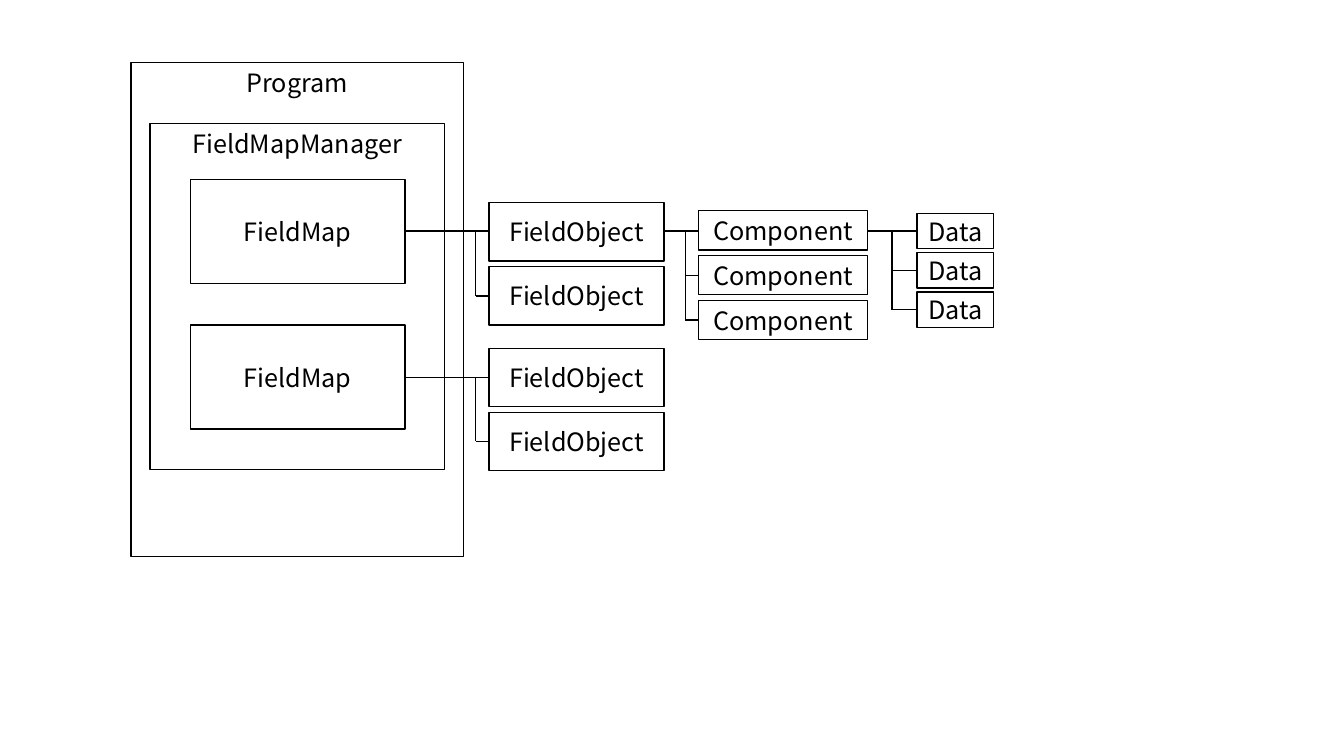
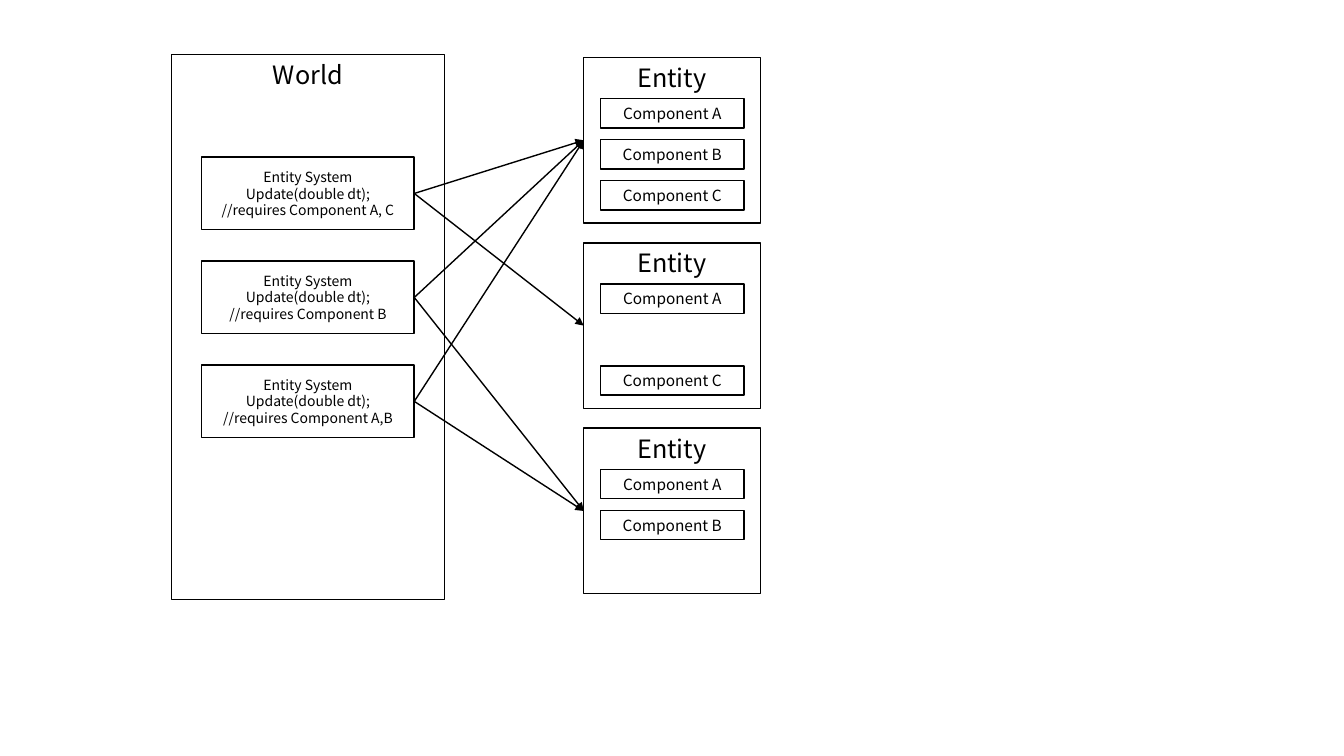
"""Draw two box diagrams of a field map and an entity system."""
from dataclasses import dataclass, replace

from lxml import etree
from pptx import Presentation
from pptx import util as u
from pptx.dml import color
from pptx.enum import shapes, text
from pptx.oxml import ns
from pptx.slide import Slide

FONT = "Noto Sans CJK KR"
INK = "000000"
PAPER = "FFFFFF"


@dataclass(frozen=True)
class Box:
    left: float
    top: float
    width: float
    height: float
    words: str
    size: int = 18
    head: bool = False

    @property
    def right(self) -> float:
        return self.left + self.width

    @property
    def mid(self) -> float:
        return self.top + self.height / 2

    def down(self, gap: float, words: str = "") -> "Box":
        return replace(self, top=self.top + gap, words=words or self.words)


@dataclass(frozen=True)
class Branch:
    start: float
    bend: float
    level: float
    first: Box
    step: float
    count: int


def paint(code: str) -> color.RGBColor:
    return color.RGBColor.from_string(code)


def draw_box(slide: Slide, box: Box) -> None:
    shape = slide.shapes.add_shape(
        shapes.MSO_SHAPE.RECTANGLE,
        u.Cm(box.left), u.Cm(box.top), u.Cm(box.width), u.Cm(box.height))
    shape.shadow.inherit = False
    shape.fill.solid()
    shape.fill.fore_color.rgb = paint(PAPER)
    shape.line.color.rgb = paint(INK)
    shape.line.width = u.Pt(1)
    frame = shape.text_frame
    frame.word_wrap = True
    frame.margin_left = frame.margin_right = u.Cm(0)
    anchor = text.MSO_ANCHOR
    frame.vertical_anchor = anchor.TOP if box.head else anchor.MIDDLE
    for index, words in enumerate(box.words.split("\n")):
        para = frame.add_paragraph() if index else frame.paragraphs[0]
        para.alignment = text.PP_ALIGN.CENTER
        run = para.add_run()
        run.text = words
        run.font.name = FONT
        run.font.size = u.Pt(box.size)
        run.font.color.rgb = paint(INK)


def draw_line(slide: Slide, x1: float, y1: float, x2: float, y2: float,
              arrow: bool = False) -> None:
    line = slide.shapes.add_connector(
        shapes.MSO_CONNECTOR.STRAIGHT, u.Cm(x1), u.Cm(y1), u.Cm(x2), u.Cm(y2))
    line.line.color.rgb = paint(INK)
    line.line.width = u.Pt(1)
    if arrow:
        stroke = line.line._get_or_add_ln()
        etree.SubElement(stroke, ns.qn("a:tailEnd"), type="triangle")
    etree.SubElement(line._element.spPr, ns.qn("a:effectLst"))


def draw_branch(slide: Slide, branch: Branch) -> None:
    first = branch.first
    draw_box(slide, first)
    draw_line(slide, branch.start, branch.level, first.left, branch.level)
    for index in range(1, branch.count):
        box = first.down(index * branch.step)
        draw_box(slide, box)
        draw_line(slide, branch.bend, box.mid, box.left, box.mid)
    last = first.mid + (branch.count - 1) * branch.step
    draw_line(slide, branch.bend, branch.level, branch.bend, last)


def draw_fields(slide: Slide) -> None:
    draw_box(slide, Box(3.3, 1.57, 8.38, 12.45, "Program", head=True))
    draw_box(slide, Box(3.78, 3.12, 7.42, 8.71, "FieldMapManager", head=True))
    field = Box(4.8, 4.52, 5.41, 2.62, "FieldMap")
    thing = Box(12.32, 5.11, 4.42, 1.47, "FieldObject")
    part = Box(17.6, 5.31, 4.27, 0.99, "Component")
    data = Box(23.11, 5.38, 1.93, 0.89, "Data")
    level = 5.82
    for index in range(2):
        gap = index * 3.67
        draw_box(slide, field.down(gap))
        draw_branch(slide, Branch(field.right, 11.99, level + index * 3.7,
                                  thing.down(gap), 1.61, 2))
    draw_branch(slide, Branch(thing.right, 17.27, level, part, 1.13, 3))
    draw_branch(slide, Branch(part.right, 22.48, level, data, 0.99, 3))


def draw_world(slide: Slide) -> None:
    draw_box(slide, Box(4.32, 1.37, 6.88, 13.74, "World", head=True))
    base = Box(5.08, 3.96, 5.36, 1.83, "", size=10)
    needs = ("A, C", "B", "A,B")
    systems = [
        base.down(index * 2.62, "Entity System\nUpdate(double dt);\n"
                                f"//requires Component {need}")
        for index, need in enumerate(needs)]
    first = Box(14.71, 1.45, 4.45, 4.17, "Entity", head=True)
    owners = [first.down(index * 4.67) for index in range(3)]
    for system in systems:
        draw_box(slide, system)
    for owner, parts in zip(owners, ("ABC", "AC", "AB")):
        draw_box(slide, owner)
        for part in parts:
            top = owner.top + 1.04 + "ABC".index(part) * 1.03
            draw_box(slide, Box(15.14, top, 3.61, 0.74,
                                f"Component {part}", size=11))
    for system, goals in zip(systems, ((0, 1), (0, 2), (0, 2))):
        for goal in goals:
            owner = owners[goal]
            draw_line(slide, system.right, system.mid,
                      owner.left, owner.mid, arrow=True)


def main() -> None:
    deck = Presentation()
    deck.slide_width = u.Cm(33.87)
    deck.slide_height = u.Cm(19.05)
    for draw in (draw_fields, draw_world):
        draw(deck.slides.add_slide(deck.slide_layouts[6]))
    deck.save("out.pptx")


if __name__ == "__main__":
    main()
